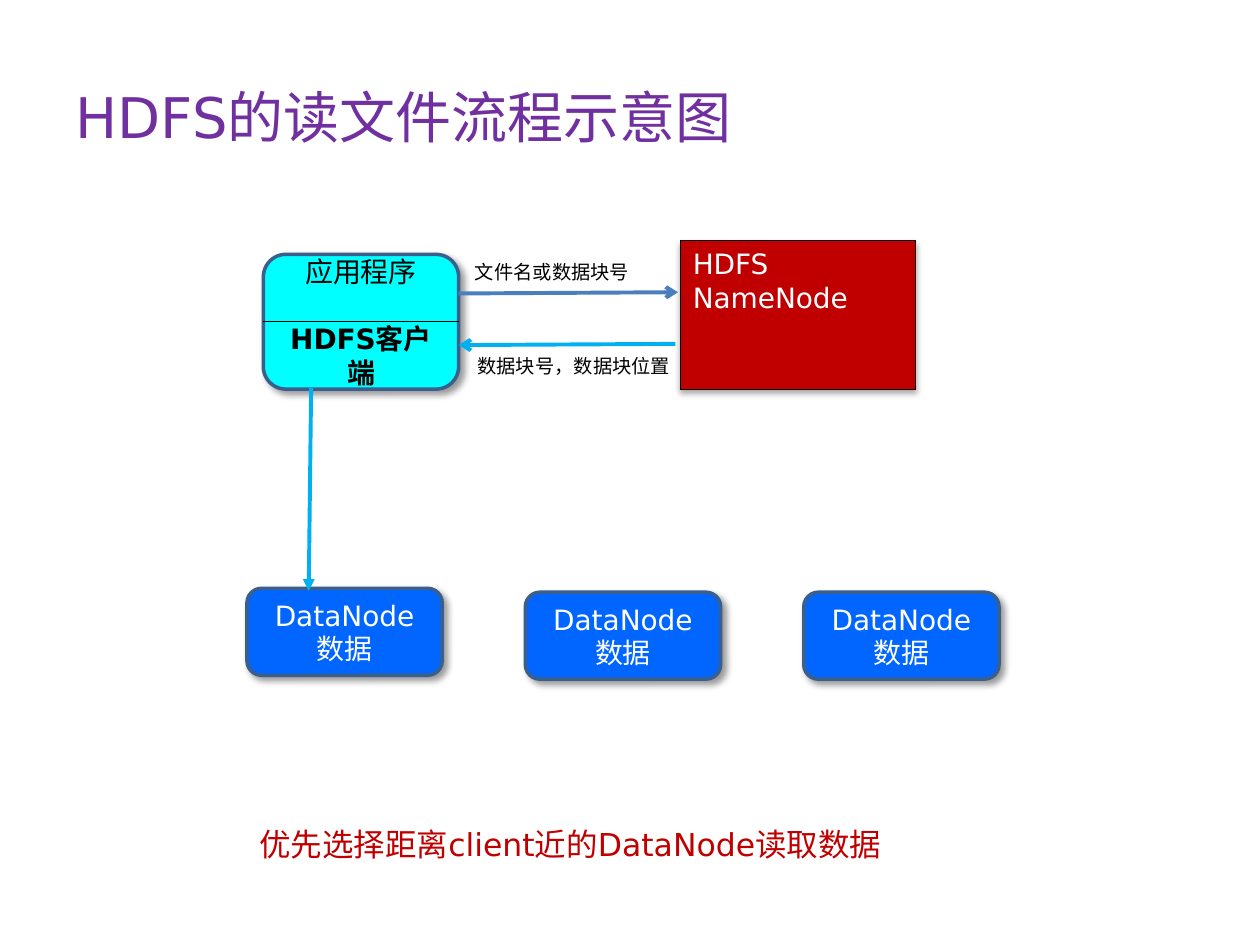
from pptx import Presentation
from pptx.dml.color import RGBColor
from pptx.enum.shapes import MSO_CONNECTOR, MSO_SHAPE
from pptx.enum.text import MSO_ANCHOR, PP_ALIGN
from pptx.oxml.ns import qn
from pptx.util import Pt
from lxml.etree import SubElement

PURPLE = RGBColor(0x70, 0x30, 0xA0)
CYAN = RGBColor(0x00, 0xFF, 0xFF)
RED = RGBColor(0xC0, 0x00, 0x00)
BLUE = RGBColor(0x00, 0x66, 0xFF)
OUTLINE = RGBColor(0x3A, 0x5F, 0x8C)
REQUEST = RGBColor(0x4B, 0x7E, 0xBC)
REPLY = RGBColor(0x00, 0xB0, 0xF0)
BLACK = RGBColor(0x00, 0x00, 0x00)
WHITE = RGBColor(0xFF, 0xFF, 0xFF)

FONT = "DejaVu Sans"
# Shadow values: opacity in percent, blur and distance in points, angle in degrees
SOFT_SHADOW = (40, 4, 3, 45)
LOW_SHADOW = (32, 3.5, 2.2, 90)


def write(shape, lines, size, color, align=PP_ALIGN.LEFT, anchor=MSO_ANCHOR.TOP):
    frame = shape.text_frame
    frame.word_wrap = True
    frame.vertical_anchor = anchor
    frame.text = "\n".join(lines)
    for paragraph in frame.paragraphs:
        paragraph.alignment = align
        paragraph.font.name = FONT
        paragraph.font.size = Pt(size)
        paragraph.font.color.rgb = color
    return frame.paragraphs


def add_label(slide, left, top, width, height, text, size, color):
    label = slide.shapes.add_textbox(Pt(left), Pt(top), Pt(width), Pt(height))
    write(label, [text], size, color)


def add_block(slide, kind, box, fill, line, line_width, shadow):
    block = slide.shapes.add_shape(kind, *map(Pt, box))
    block.fill.solid()
    block.fill.fore_color.rgb = fill
    block.line.color.rgb = line
    block.line.width = Pt(line_width)
    block.shadow.inherit = False
    opacity, blur, distance, angle = shadow
    effects = block.element.spPr.find(qn("a:effectLst"))
    outer = SubElement(effects, qn("a:outerShdw"), blurRad=str(Pt(blur)),
                       dist=str(Pt(distance)), dir=str(angle * 60000),
                       algn="ctr", rotWithShape="0")
    color = SubElement(outer, qn("a:srgbClr"), val=str(BLACK))
    SubElement(color, qn("a:alpha"), val=str(opacity * 1000))
    return block


def add_line(slide, start, end, color, width, head=None):
    """Draw a line, with an arrowhead of the given type at its end."""
    line = slide.shapes.add_connector(MSO_CONNECTOR.STRAIGHT, *map(Pt, start + end))
    line.line.color.rgb = color
    line.line.width = Pt(width)
    properties = line.element.spPr
    if head:
        SubElement(properties.find(qn("a:ln")), qn("a:tailEnd"), type=head)
    SubElement(properties, qn("a:effectLst"))


def place_title(slide, box):
    title = slide.shapes.title
    title.left, title.top, title.width, title.height = map(Pt, box)
    write(title, ["HDFS的读文件流程示意图"], 32, PURPLE, anchor=MSO_ANCHOR.MIDDLE)


def add_client(slide, box):
    left, top, width, height = box
    client = add_block(slide, MSO_SHAPE.ROUNDED_RECTANGLE, box, CYAN, OUTLINE, 2, SOFT_SHADOW)
    application, library = write(client, ["应用程序", "HDFS客户端"], 16, BLACK,
                                 PP_ALIGN.CENTER, MSO_ANCHOR.MIDDLE)
    application.font.name = "Arial"
    library.font.bold = True
    library.space_before = Pt(19)
    middle = top + height / 2
    add_line(slide, (left, middle), (left + width, middle), BLACK, 0.75)


def add_name_node(slide, box):
    name_node = add_block(slide, MSO_SHAPE.RECTANGLE, box, RED, BLACK, 0.75, LOW_SHADOW)
    write(name_node, ["HDFS NameNode"], 16, WHITE)


def add_data_nodes(slide, box):
    """Three equal nodes across the box; the first sits slightly higher."""
    left, top, width, height = box
    node_width, count = 111.6, 3
    step = (width - node_width) / (count - 1)
    for index in range(count):
        node_top = top if index == 0 else top + 2.2
        node = add_block(slide, MSO_SHAPE.ROUNDED_RECTANGLE,
                         (left + index * step, node_top, node_width, height),
                         BLUE, OUTLINE, 2, SOFT_SHADOW)
        write(node, ["DataNode", "数据"], 16, WHITE, PP_ALIGN.CENTER, MSO_ANCHOR.MIDDLE)


def add_messages(slide, box):
    """Request above and reply below, between client and name node."""
    left, top, width, height = box
    right = left + width
    add_line(slide, (left, top + 22.3), (right, top + 21.6), REQUEST, 2.25, "arrow")
    add_label(slide, left + 2.2, top, 122.4, 20.9, "文件名或数据块号", 11, BLACK)
    add_line(slide, (right - 1.4, top + 51.1), (left, top + 51.8), REPLY, 2.25, "arrow")
    add_label(slide, left + 3.6, top + height - 20.9, 129.6, 20.9,
              "数据块号，数据块位置", 11, BLACK)


def main():
    presentation = Presentation()
    presentation.slide_width, presentation.slide_height = Pt(720), Pt(540)
    slide = presentation.slides.add_slide(presentation.slide_layouts[5])
    place_title(slide, (36, 21.6, 648, 90))
    add_client(slide, (150.5, 145.4, 111.6, 77))
    add_name_node(slide, (388.8, 137.5, 134.6, 85))
    add_data_nodes(slide, (141.1, 336.2, 429.8, 49.7))
    add_messages(slide, (262.1, 145.4, 125.3, 74.2))
    add_line(slide, (177.8, 221.8), (176.4, 337.7), REPLY, 2.25, "triangle")
    add_label(slide, 141.1, 468, 442, 28.8,
              "优先选择距离client近的DataNode读取数据", 18, RED)
    presentation.save("out.pptx")


if __name__ == "__main__":
    main()
